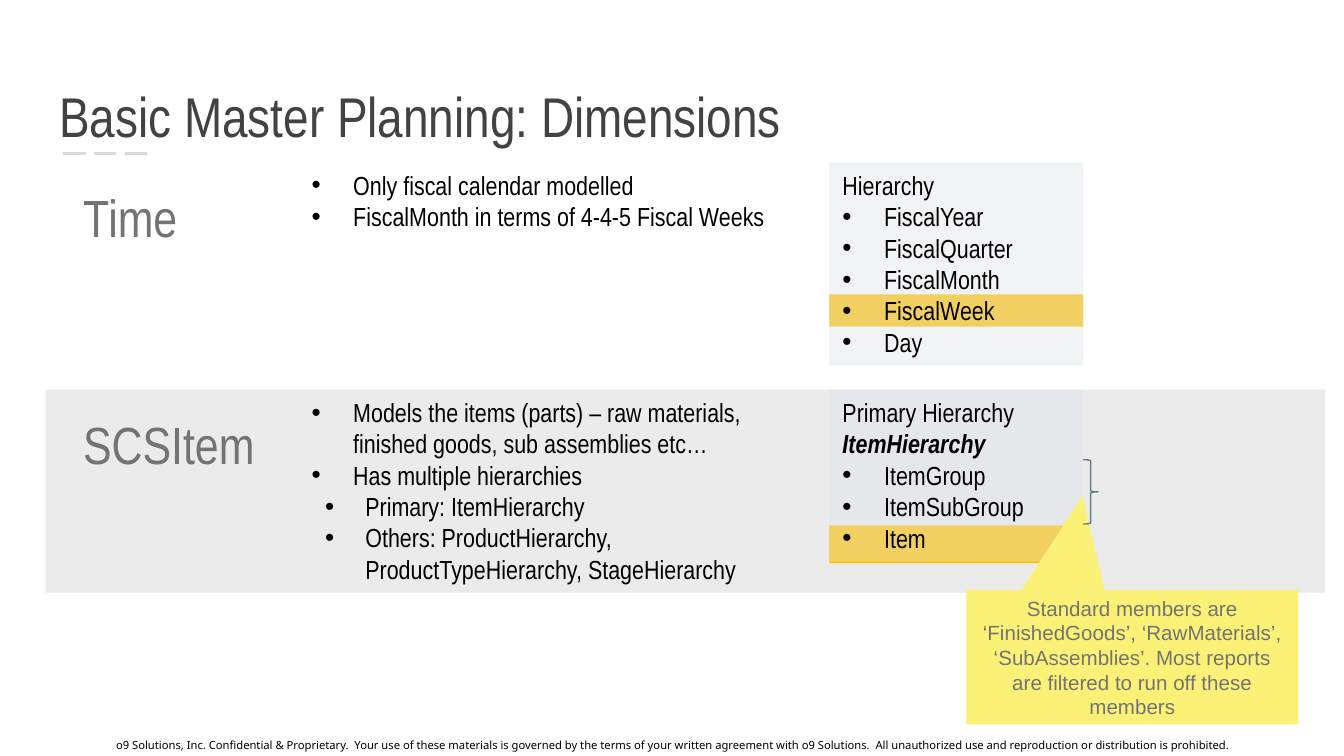
import pptx
import pptx.util
import pptx.dml.color
import pptx.enum.dml
import pptx.enum.shapes
import pptx.enum.text
import pptx.oxml
import pptx.oxml.ns
import lxml.etree

Inches = pptx.util.Inches
RGBColor = pptx.dml.color.RGBColor
SHAPE = pptx.enum.shapes.MSO_SHAPE
ALIGN = pptx.enum.text.PP_ALIGN
ANCHOR = pptx.enum.text.MSO_ANCHOR

BLACK = RGBColor(0x00, 0x00, 0x00)
TITLE_GRAY = RGBColor(0x42, 0x42, 0x42)
TEXT_GRAY = RGBColor(0x73, 0x73, 0x73)
DASH_GRAY = RGBColor(0xD9, 0xD9, 0xD9)
BAND_GRAY = RGBColor(0xEB, 0xEB, 0xEB)
PANEL_BLUE = RGBColor(0xDE, 0xE5, 0xE9)
HIGHLIGHT = RGBColor(0xFF, 0xC0, 0x00)
NOTE_YELLOW = RGBColor(0xFB, 0xF1, 0x77)
BRACE_BLUE = RGBColor(0x5D, 0x7B, 0x89)
NARROW = "Arial Narrow"
INDENTS = {1: (0.31, -0.31), 2: (0.4, -0.3)}


def add_block(kind, left, top, width, height, color):
    block = slide.shapes.add_shape(
        kind, Inches(left), Inches(top), Inches(width), Inches(height))
    block.shadow.inherit = False
    block.fill.solid()
    block.fill.fore_color.rgb = color
    block.line.fill.background()
    return block


def write_text(box, lines, size, color, font=NARROW, align=ALIGN.LEFT,
               anchor=ANCHOR.TOP, wrap=True):
    frame = box.text_frame
    frame.word_wrap = wrap
    frame.auto_size = pptx.enum.text.MSO_AUTO_SIZE.NONE
    frame.vertical_anchor = anchor
    for index, (level, texts) in enumerate(lines):
        para = frame.add_paragraph() if index else frame.paragraphs[0]
        para.alignment = align
        if level:
            margin, indent = INDENTS[level]
            properties = para._p.get_or_add_pPr()
            properties.set("marL", str(Inches(margin)))
            properties.set("indent", str(Inches(indent)))
            bullet_font = lxml.etree.SubElement(properties, pptx.oxml.ns.qn("a:buFont"))
            bullet_font.set("typeface", "Arial")
            bullet = lxml.etree.SubElement(properties, pptx.oxml.ns.qn("a:buChar"))
            bullet.set("char", "•")
        for position, text in enumerate(texts):
            span = para.add_run()
            span.text = text
            span.font.name = font
            span.font.size = pptx.util.Pt(size)
            span.font.color.rgb = color
            if position:
                span.font.bold = True
                span.font.italic = True


deck = pptx.Presentation()
deck.slide_width = Inches(10)
deck.slide_height = deck.slide_width * 9 // 16
slide = deck.slides.add_slide(deck.slide_layouts[5])

title = slide.shapes.title
title.left, title.top = Inches(0.34), Inches(0.41)
title.width, title.height = Inches(9.32), Inches(0.8)
write_text(title, [(0, ["Basic Master Planning: Dimensions"])], 30, TITLE_GRAY,
           anchor=ANCHOR.BOTTOM)
title.text_frame.margin_top = title.text_frame.margin_bottom = Inches(0.1)

rule = slide.shapes.add_connector(
    pptx.enum.shapes.MSO_CONNECTOR.STRAIGHT,
    Inches(0.47), Inches(1.14), Inches(1.14), Inches(1.14))
rule.line.color.rgb = DASH_GRAY
rule.line.width = pptx.util.Pt(1.5)
rule.line.dash_style = pptx.enum.dml.MSO_LINE.LONG_DASH
lxml.etree.SubElement(rule._element.spPr, pptx.oxml.ns.qn("a:effectLst"))

footer = slide.shapes.add_textbox(Inches(0), Inches(5.44), Inches(10), Inches(0.21))
write_text(footer, [(0, [
    "o9 Solutions, Inc. Confidential & Proprietary.  Your use of these materials is "
    "governed by the terms of your written agreement with o9 Solutions.  All "
    "unauthorized use and reproduction or distribution is prohibited."])],
    6, BLACK, "Noto Sans", ALIGN.CENTER, ANCHOR.MIDDLE)

add_block(SHAPE.RECTANGLE, 0.34, 2.9, 9.52, 1.51, BAND_GRAY)

dimensions = [
    ("Time", 1.21, 0.92, 1.51, (2.19, 0.24), 0.57,
     [(1, ["Only fiscal calendar modelled"]),
      (1, ["FiscalMonth in terms of 4-4-5 Fiscal Weeks"])],
     [(0, ["Hierarchy"]), (1, ["FiscalYear"]), (1, ["FiscalQuarter"]),
      (1, ["FiscalMonth"]), (1, ["FiscalWeek"]), (1, ["Day"])]),
    ("SCSItem", 2.9, 1.49, 1.28, (3.91, 0.28), 0.34,
     [(1, ["Models the items (parts) – raw materials, finished goods, "
           "sub assemblies etc…"]),
      (1, ["Has multiple hierarchies"]),
      (2, ["Primary: ItemHierarchy"]),
      (2, ["Others: ProductHierarchy, ProductTypeHierarchy, StageHierarchy"])],
     [(0, ["Primary Hierarchy ", "ItemHierarchy"]), (1, ["ItemGroup"]),
      (1, ["ItemSubGroup"]), (1, ["Item"])]),
]
for (name, top, name_width, panel_height, highlight, description_height,
     points, levels) in dimensions:
    add_block(SHAPE.RECTANGLE, 6.17, highlight[0], 1.89, highlight[1], HIGHLIGHT)

    heading = slide.shapes.add_textbox(
        Inches(0.52), Inches(top + 0.12), Inches(name_width), Inches(0.57))
    write_text(heading, [(0, [name])], 28, TEXT_GRAY, wrap=False)

    panel = add_block(SHAPE.RECTANGLE, 6.17, top, 1.89, panel_height, PANEL_BLUE)
    panel_color = panel._element.spPr.find(".//" + pptx.oxml.ns.qn("a:srgbClr"))
    alpha = lxml.etree.SubElement(panel_color, pptx.oxml.ns.qn("a:alpha"))
    alpha.set("val", "42000")
    write_text(panel, levels, 14, BLACK)

    description = slide.shapes.add_textbox(
        Inches(2.22), Inches(top), Inches(3.61), Inches(description_height))
    write_text(description, points, 14, BLACK)

note = add_block(SHAPE.RECTANGULAR_CALLOUT, 7.19, 4.39, 2.47, 1, NOTE_YELLOW)
note.adjustments[0] = -0.15
note.adjustments[1] = -1.2
write_text(note, [(0, [
    "Standard members are ‘FinishedGoods’, ‘RawMaterials’, ‘SubAssemblies’. "
    "Most reports are filtered to run off these members"])],
    11, TEXT_GRAY, "Arial", ALIGN.CENTER, ANCHOR.MIDDLE)

brace = add_block(SHAPE.RIGHT_BRACE, 8.06, 3.42, 0.11, 0.48, BRACE_BLUE)
brace.fill.background()
brace.line.color.rgb = BRACE_BLUE
brace.line.width = pptx.util.Pt(0.75)

deck.save("out.pptx")
